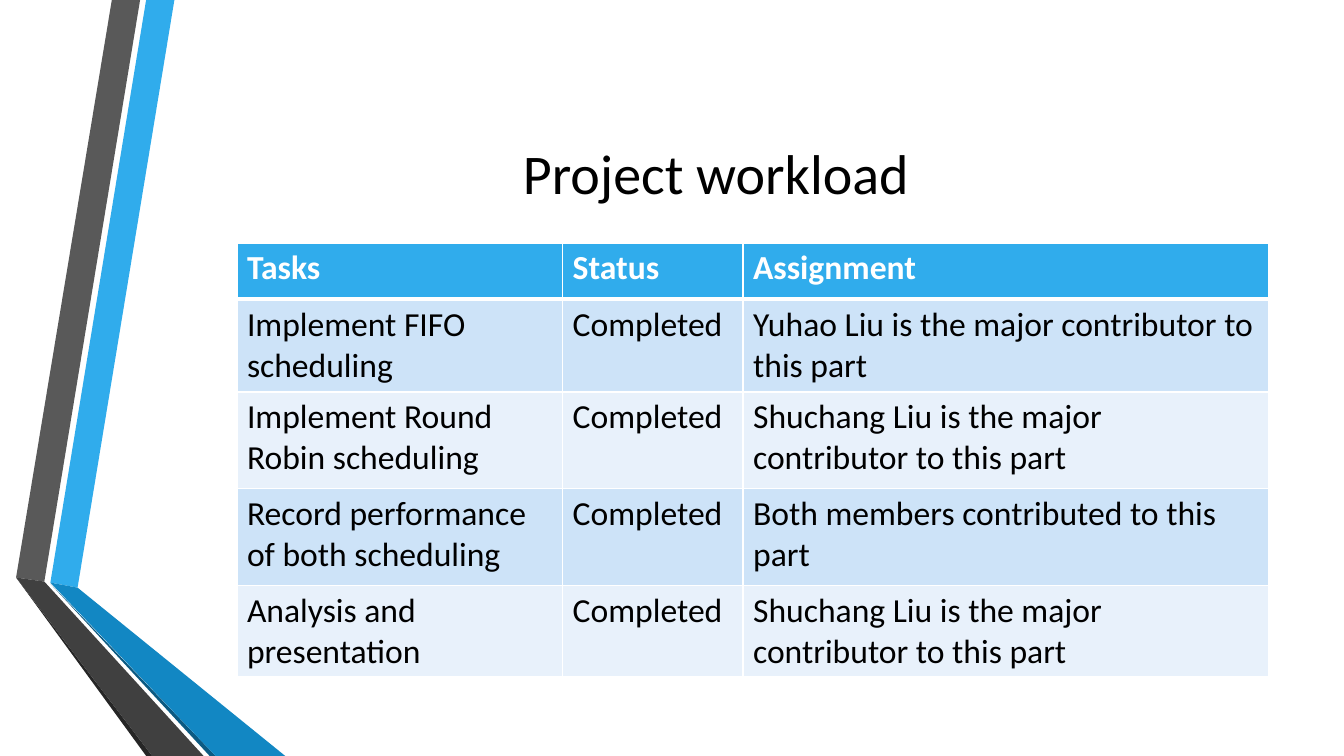
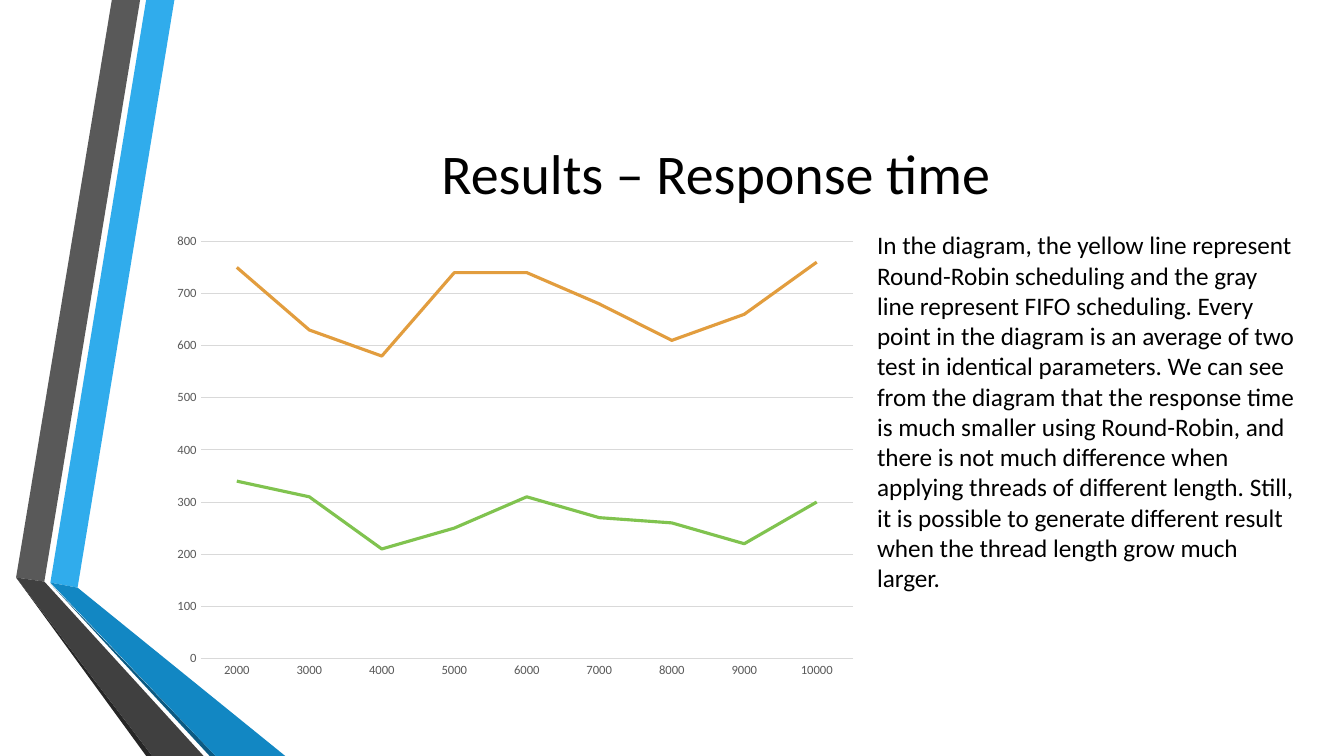
from dataclasses import dataclass

from lxml import etree
from pptx import Presentation
from pptx import slide as sl
from pptx import table as tb
from pptx import util as u
from pptx.chart import data as cd
from pptx.dml import color as dc
from pptx.enum import chart as ch
from pptx.enum import text as tx
from pptx.oxml import ns
from pptx.text import text as tt

FONT = "Calibri"
COLORS = {
    "white": "FFFFFF",
    "black": "000000",
    "blue": "30ACEC",
    "blue_fold": "1287C3",
    "blue_edge": "0C5A82",
    "gray": "595959",
    "gray_fold": "404040",
    "gray_edge": "262626",
    "band_dark": "CDE3F8",
    "band_light": "E8F1FB",
    "grid": "D9D9D9",
    "green": "80C34F",
    "orange": "E29D3E",
}


@dataclass(frozen=True)
class Ribbon:
    color: str
    points: tuple[tuple[float, float], ...]


@dataclass(frozen=True)
class Box:
    left: float
    top: float
    width: float
    height: float

    def lengths(self) -> tuple[u.Length, ...]:
        return tuple(map(u.Inches, (self.left, self.top, self.width, self.height)))


@dataclass(frozen=True)
class Line:
    name: str
    color: str
    values: tuple[int, ...]


@dataclass(frozen=True)
class Task:
    name: str
    assignment: str
    height: float
    status: str = "Completed"


RIBBONS = (
    Ribbon("blue", ((0.5, 5.78), (0.77, 5.83), (1.73, 0), (1.45, 0))),
    Ribbon("gray", ((1.39, 0), (1.11, 0), (0.16, 5.73), (0.44, 5.77))),
    Ribbon("gray_edge", ((0.16, 5.73), (1.45, 7.5), (1.51, 7.5))),
    Ribbon("blue_edge", ((0.5, 5.79), (2.08, 7.5), (2.14, 7.5))),
    Ribbon("blue_fold", ((0.5, 5.78), (2.14, 7.5), (2.83, 7.5), (0.77, 5.83))),
    Ribbon("gray_fold", ((2.02, 7.5), (0.44, 5.77), (0.16, 5.73), (1.51, 7.5))),
)

TITLE_BOX = Box(1.62, 0.75, 10.96, 1.92)
TABLE_BOX = Box(2.35, 2.41, 10.23, 4.28)
CHART_BOX = Box(1.62, 2.23, 6.98, 4.58)
NOTE_BOX = Box(8.6, 2.23, 4.38, 3.74)

HEADINGS = ("Tasks", "Status", "Assignment")
COLUMN_WIDTHS = (3.23, 1.79, 5.21)
HEADER_HEIGHT = 0.56
TASKS = (
    Task("Implement FIFO scheduling", "Yuhao Liu is the major contributor to this part", 0.92),
    Task("Implement Round Robin scheduling", "Shuchang Liu is the major contributor to this part", 0.96),
    Task("Record performance of both scheduling", "Both members contributed to this part", 0.96),
    Task("Analysis and presentation", "Shuchang Liu is the major contributor to this part", 0.88),
)

LINES = (
    Line("Series 1", "green", (340, 310, 210, 250, 310, 270, 260, 220, 300)),
    Line("Series 2", "orange", (750, 630, 580, 740, 740, 680, 610, 660, 760)),
)
NOTE = (
    "In the diagram, the yellow line represent Round-Robin scheduling and the gray line "
    "represent FIFO scheduling. Every point in the diagram is an average of two test in "
    "identical parameters. We can see from the diagram that the response time is much "
    "smaller using Round-Robin, and there is not much difference when applying threads of "
    "different length. Still, it is possible to generate different result when the thread "
    "length grow much larger."
)


def rgb(name: str) -> dc.RGBColor:
    return dc.RGBColor.from_string(COLORS[name])


def style_font(font: tt.Font, size: float, color: str, bold: bool = False) -> None:
    font.name = FONT
    font.size = u.Pt(size)
    font.bold = bold
    font.color.rgb = rgb(color)


def add_span(para, words: str, size: float, color: str, bold: bool = False) -> None:
    span = para.add_run()
    span.text = words
    style_font(span.font, size, color, bold)


def add_text(page: sl.Slide, place: Box, words: str, size: float) -> tt.TextFrame:
    frame = page.shapes.add_textbox(*place.lengths()).text_frame
    frame.word_wrap = True
    add_span(frame.paragraphs[0], words, size, "black")
    return frame


def add_ribbon(page: sl.Slide, ribbon: Ribbon) -> None:
    points = [(u.Inches(x), u.Inches(y)) for x, y in ribbon.points]
    builder = page.shapes.build_freeform(*points[0])
    builder.add_line_segments(points[1:], close=True)
    shape = builder.convert_to_shape()
    shape.shadow.inherit = False
    shape.fill.solid()
    shape.fill.fore_color.rgb = rgb(ribbon.color)
    shape.line.fill.background()


def add_page(deck, title: str) -> sl.Slide:
    page = deck.slides.add_slide(deck.slide_layouts[6])
    for ribbon in RIBBONS:
        add_ribbon(page, ribbon)
    frame = add_text(page, TITLE_BOX, title, 40)
    frame.vertical_anchor = tx.MSO_ANCHOR.MIDDLE
    frame.paragraphs[0].alignment = tx.PP_ALIGN.CENTER
    return page


def add_borders(cell, top: float, bottom: float) -> None:
    properties = cell._tc.get_or_add_tcPr()
    for side, width in (("L", 1), ("R", 1), ("T", top), ("B", bottom)):
        line = etree.SubElement(properties, ns.qn(f"a:ln{side}"), w=str(u.Pt(width)))
        fill = etree.SubElement(line, ns.qn("a:solidFill"))
        etree.SubElement(fill, ns.qn("a:srgbClr"), val=COLORS["white"])


def fill_row(table: tb.Table, index: int, words: tuple[str, ...], height: float) -> None:
    header = index == 0
    band = "blue" if header else "band_dark" if index % 2 else "band_light"
    table.rows[index].height = u.Inches(height)
    for cell, label in zip(table.rows[index].cells, words):
        add_borders(cell, top=3 if index == 1 else 1, bottom=3 if header else 1)
        cell.fill.solid()
        cell.fill.fore_color.rgb = rgb(band)
        color = "white" if header else "black"
        add_span(cell.text_frame.paragraphs[0], label, 24, color, header)


def add_task_table(page: sl.Slide) -> None:
    frame = page.shapes.add_table(len(TASKS) + 1, len(HEADINGS), *TABLE_BOX.lengths())
    table = frame.table
    for column, width in zip(table.columns, COLUMN_WIDTHS):
        column.width = u.Inches(width)
    fill_row(table, 0, HEADINGS, HEADER_HEIGHT)
    for index, task in enumerate(TASKS, 1):
        fill_row(table, index, (task.name, task.status, task.assignment), task.height)


def add_response_chart(page: sl.Slide) -> None:
    data = cd.CategoryChartData()
    data.categories = [str(length) for length in range(2000, 10001, 1000)]
    for line in LINES:
        data.add_series(line.name, line.values)
    chart = page.shapes.add_chart(ch.XL_CHART_TYPE.LINE, *CHART_BOX.lengths(), data).chart
    chart.has_title = False
    chart.has_legend = False
    style_font(chart.font, 10, "black")

    plot = chart.plots[0]
    plot.vary_by_categories = False
    for series, line in zip(plot.series, LINES):
        series.smooth = False
        series.marker.style = ch.XL_MARKER_STYLE.NONE
        series.format.line.color.rgb = rgb(line.color)
        series.format.line.width = u.Pt(2.25)

    values, categories = chart.value_axis, chart.category_axis
    for axis in (values, categories):
        axis.major_tick_mark = ch.XL_TICK_MARK.NONE
        axis.minor_tick_mark = ch.XL_TICK_MARK.NONE
        style_font(axis.tick_labels.font, 9, "gray")
    values.minimum_scale = 0
    values.maximum_scale = 800
    values.major_unit = 100
    values.format.line.fill.background()
    for ruled in (values.major_gridlines, categories):
        ruled.format.line.color.rgb = rgb("grid")
        ruled.format.line.width = u.Pt(0.75)


def main() -> None:
    deck = Presentation()
    deck.slide_width = u.Inches(13.33)
    deck.slide_height = u.Inches(7.5)

    add_task_table(add_page(deck, "Project workload"))

    results = add_page(deck, "Results – Response time")
    add_response_chart(results)
    add_text(results, NOTE_BOX, NOTE, 18)

    deck.save("out.pptx")


if __name__ == "__main__":
    main()
